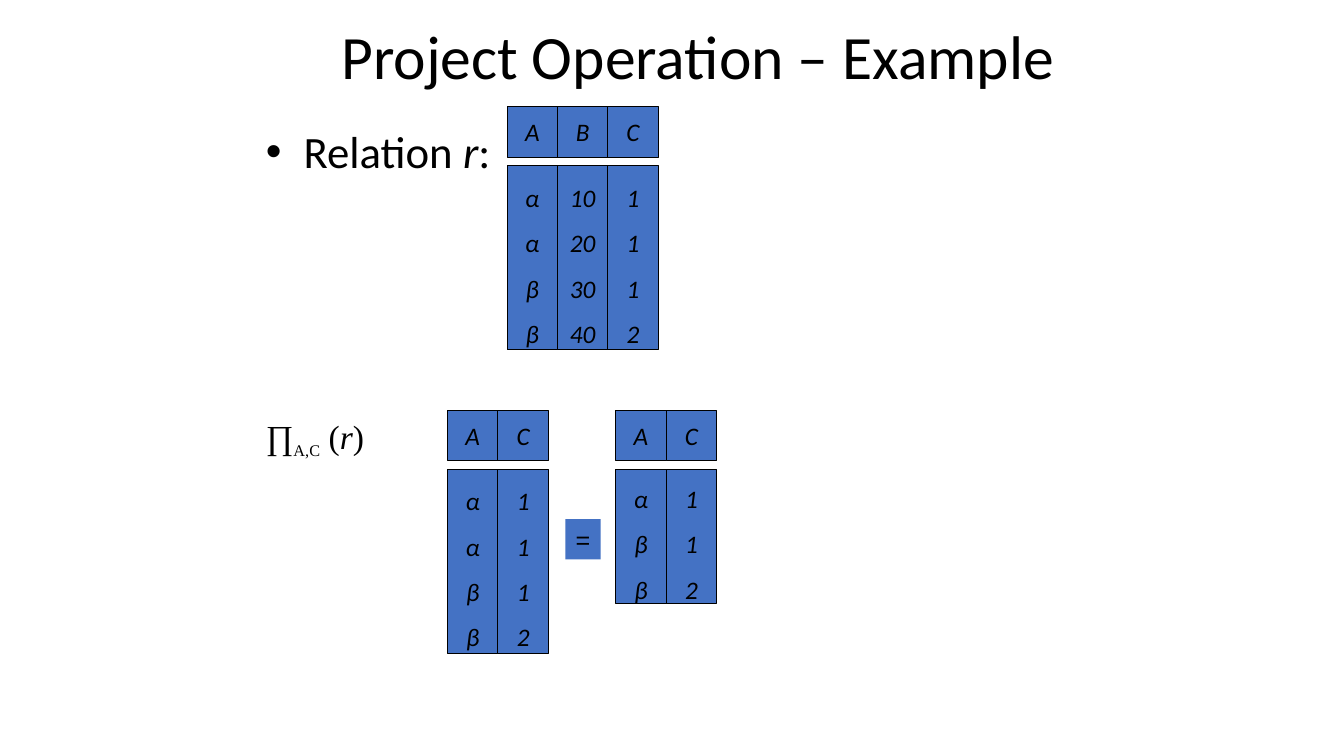
from lxml import etree
from pptx import Presentation
from pptx.dml.color import RGBColor
from pptx.enum import shapes, text
from pptx.oxml import ns
from pptx.util import Cm, Pt

BLUE, BLACK = "4472C4", "000000"
CELL = 1.27   # width of a column and height of a header
STEP = 1.48   # from header top to body top


def rgb(code):
    return RGBColor.from_string(code)


def write(frame, lines, size=18, font="Calibri", ital=False,
          align=text.PP_ALIGN.CENTER, space=None, bullet=False):
    """Each line is a list of runs: (words, changes to the format)."""
    for i, line in enumerate(lines):
        para = frame.paragraphs[0] if i == 0 else frame.add_paragraph()
        para.alignment = align
        if space:
            para.line_spacing = space
        if bullet:
            props = para._p.get_or_add_pPr()
            props.set("marL", str(Cm(0.95)))
            props.set("indent", str(Cm(-0.95)))
            face = etree.SubElement(props, ns.qn("a:buFont"))
            face.set("typeface", "Arial")
            etree.SubElement(props, ns.qn("a:buChar")).set("char", "•")
        for words, form in line:
            run = para.add_run()
            run.text = words
            run.font.name = font
            run.font.size = Pt(form.get("size", size))
            run.font.italic = form.get("ital", ital)
            run.font.color.rgb = rgb(BLACK)
            if "base" in form:
                run._r.get_or_add_rPr().set("baseline", str(form["base"]))


def label(slide, x, y, w, h, runs, **form):
    frame = slide.shapes.add_textbox(Cm(x), Cm(y), Cm(w), Cm(h)).text_frame
    frame.word_wrap = True
    write(frame, [runs], **form)


def box(slide, x, y, w, h, items, edge=True, **form):
    rect = slide.shapes.add_shape(
        shapes.MSO_SHAPE.RECTANGLE, Cm(x), Cm(y), Cm(w), Cm(h))
    rect.shadow.inherit = False
    rect.fill.solid()
    rect.fill.fore_color.rgb = rgb(BLUE)
    if edge:
        rect.line.color.rgb = rgb(BLACK)
        rect.line.width = Pt(0.75)
    else:
        rect.line.fill.background()
    frame = rect.text_frame
    frame.word_wrap = False
    frame.vertical_anchor = text.MSO_ANCHOR.MIDDLE
    write(frame, [[(item, {})] for item in items], **form)


def relation(slide, x, y, high, cols):
    """Draw a header and a body box for every column."""
    for i, (name, vals) in enumerate(cols):
        left = x + i * CELL
        box(slide, left, y, CELL, CELL, [name], ital=True)
        box(slide, left, y + STEP, CELL, high, vals, ital=True, space=1.5)


def main():
    deck = Presentation()
    deck.slide_width, deck.slide_height = Cm(33.87), Cm(19.05)
    slide = deck.slides.add_slide(deck.slide_layouts[6])
    left = text.PP_ALIGN.LEFT

    # Title and bullet
    label(slide, 6.38, 0.33, 22.43, 1.7,
          [("Project Operation – Example", {})], size=44)
    label(slide, 6.45, 3, 19.05, 1.14,
          [("Relation", {}), (" r", {"ital": True}), (":", {})],
          size=32, align=left, bullet=True)

    # Relation r
    col_a, col_c = ("A", "ααββ"), ("C", "1112")
    col_b = ("B", ["10", "20", "30", "40"])
    relation(slide, 12.78, 2.69, 4.65, [col_a, col_b, col_c])

    # Projection before and after duplicates are dropped
    relation(slide, 11.28, 10.34, 4.65, [col_a, col_c])
    box(slide, 14.25, 13.08, 0.89, 1.02, "=", edge=False, font="Arial")
    relation(slide, 15.52, 10.34, 3.38, [("A", "αββ"), ("C", "112")])

    # Formula
    label(slide, 6.45, 10.36, 19.53, 1.14,
          [("∏", {}), ("A,C", {"size": 20, "base": -25000}), (" (", {}),
           ("r", {"ital": True}), (")", {})],
          size=24, font="Times New Roman", align=left)

    deck.save("out.pptx")


if __name__ == "__main__":
    main()
